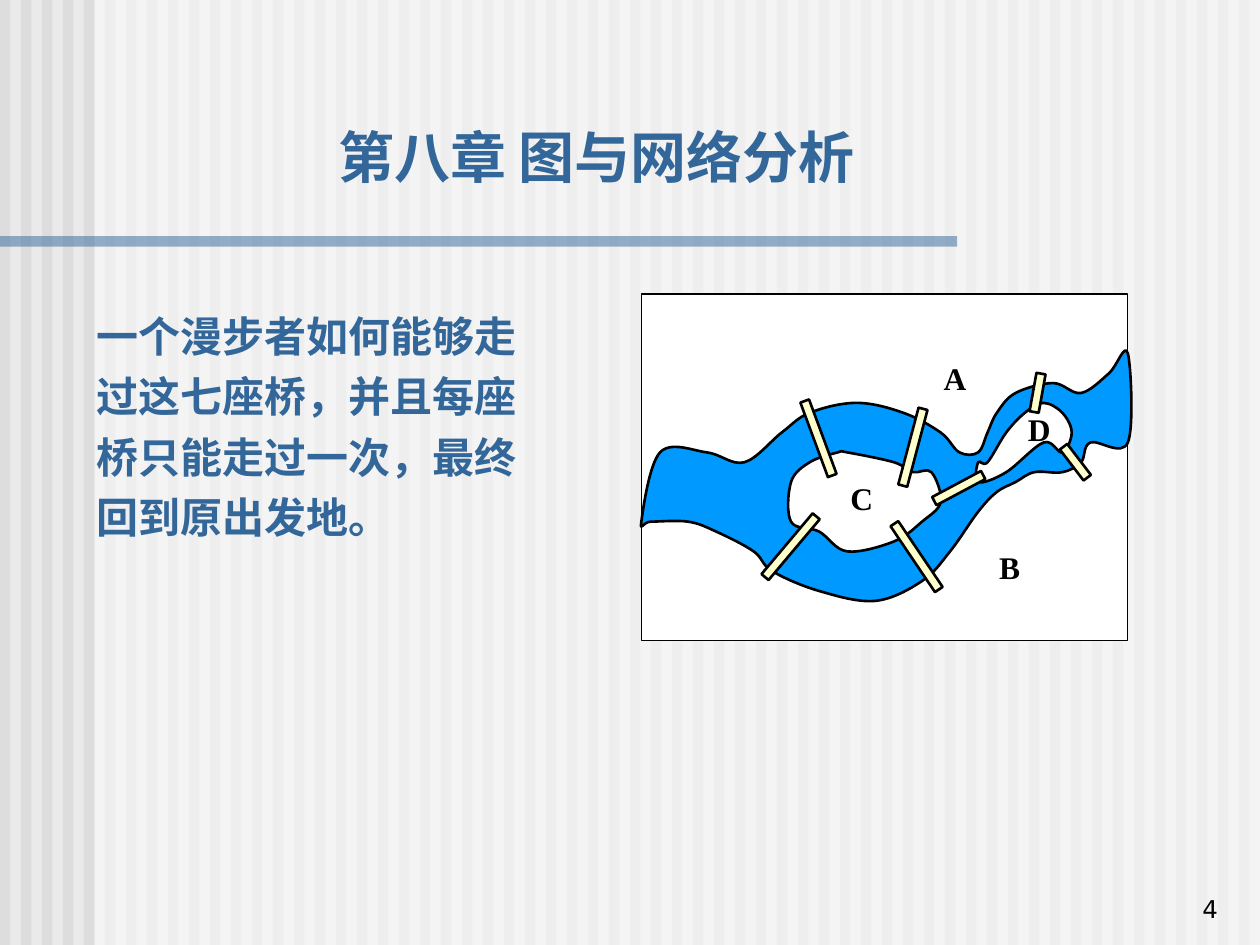
from lxml.etree import SubElement
from pptx import Presentation
from pptx.dml.color import RGBColor
from pptx.enum.shapes import MSO_SHAPE
from pptx.enum.text import MSO_ANCHOR, MSO_AUTO_SIZE, PP_ALIGN
from pptx.oxml.ns import qn
from pptx.util import Pt

COLORS = {
    "background": "EAEAEA",
    "stripe": "DDDDDD",
    "white": "FFFFFF",
    "accent": "336699",
    "black": "000000",
    "river": "0099FF",
    "bridge": "FFFFCC",
}
CHINESE_FONT = "Noto Sans CJK SC"
GRID_COLUMNS, GRID_ROWS = 52, 35
BRIDGE_THICKNESS = 5.3

RIVER = [
    (2, 16), (7, 16), (11, 17), (15, 14), (18, 12), (23, 11), (28, 12),
    (32, 14), (34, 16), (36, 16), (37, 14), (38, 12), (40, 10), (44, 9),
    (47, 10), (50, 8), (52, 6), (52, 15), (48, 15), (47, 17), (45, 18),
    (42, 18), (40, 19), (38, 20), (36, 22), (33, 26), (30, 29), (25, 31),
    (19, 30), (14, 28), (12, 26), (8, 24), (5, 23), (1, 23), (0, 23),
]
ISLAND_C = [
    (16, 19), (18, 17), (21, 16), (22, 16), (27, 17), (29, 18), (31, 18),
    (32, 21), (30, 23), (27, 25), (22, 26), (19, 24), (16, 23),
]
ISLAND_D = [
    (41, 12), (39, 14), (37, 17), (36, 17), (36, 19), (39, 18), (43, 15),
    (45, 16), (46, 14), (45, 12), (43, 11),
]
BRIDGES = [
    (181.4, 110.9, 31.7, 331.9),
    (248, 96.1, 22.3, 232.6),
    (226.4, 56.5, 22.3, 280.2),
    (155.2, 87.5, 45.4, 284.8),
    (101.2, 82.4, 45.4, 249.7),
    (157.3, 150.1, 45.4, 56),
    (85.3, 144.4, 45.4, 310.1),
]
LABELS = [
    ("B", 197.3, 141.8), ("A", 165.6, 33.8),
    ("C", 112.3, 102.2), ("D", 213.8, 62.6),
]


def color(name):
    return RGBColor.from_string(COLORS[name])


def paint(shape, fill, line_width=0, opacity=100):
    shape.shadow.inherit = False
    shape.fill.solid()
    shape.fill.fore_color.rgb = color(fill)
    if opacity < 100:
        fill_color = shape._element.spPr.find(qn("a:solidFill"))[0]
        SubElement(fill_color, qn("a:alpha"), val=str(opacity * 1000))
    if line_width:
        shape.line.color.rgb = color("black")
        shape.line.width = Pt(line_width)
    else:
        shape.line.fill.background()


def add_rectangle(shapes, left, top, width, height, fill, line_width=0, opacity=100):
    shape = shapes.add_shape(
        MSO_SHAPE.RECTANGLE, Pt(left), Pt(top), Pt(width), Pt(height))
    paint(shape, fill, line_width, opacity)
    return shape


def add_smooth_outline(shapes, knots, fill):
    builder = shapes.build_freeform(*knots[0], scale=1.0)
    builder.add_line_segments(knots[1:] + knots[:1], close=True)
    shape = builder.convert_to_shape()
    paint(shape, fill, 1.5)
    left, top = (min(values) for values in zip(*knots))
    segments = shape._element.findall(".//" + qn("a:lnTo"))
    count = len(knots)
    for index, segment in enumerate(segments):
        before, start, end, after = (
            knots[(index + offset) % count] for offset in (-1, 0, 1, 2))
        first = [s + (e - b) / 6 for b, s, e in zip(before, start, end)]
        second = [e - (a - s) / 6 for s, e, a in zip(start, end, after)]
        segment.clear()
        curve = SubElement(segment.getparent(), qn("a:cubicBezTo"))
        for x, y in (first, second, end):
            SubElement(curve, qn("a:pt"), x=str(round(x - left)), y=str(round(y - top)))
        segment.getparent().replace(segment, curve)


def format_text(paragraph, text, size, font_name, font_color, bold=True):
    paragraph.text = text
    font = paragraph.font
    font.size = Pt(size)
    font.name = font_name
    font.bold = bold
    font.color.rgb = color(font_color)
    SubElement(font._element, qn("a:ea"), typeface=font_name)


def place(shape, left, top, width, height):
    shape.left, shape.top = Pt(left), Pt(top)
    shape.width, shape.height = Pt(width), Pt(height)


def add_backdrop(slide, width, height):
    slide.background.fill.solid()
    slide.background.fill.fore_color.rgb = color("background")
    shapes = slide.shapes.add_group_shape().shapes
    for left in range(0, width, 12):
        add_rectangle(shapes, left, 0, 6, height, "stripe")
    add_rectangle(shapes, 54, 0, width - 54, height, "white", opacity=50)
    add_rectangle(shapes, 0, 135, 547, 6, "accent", opacity=50)


def add_bridge_map(slide, left, top, width, height):
    shapes = slide.shapes.add_group_shape().shapes
    add_rectangle(shapes, left, top, width, height, "white", 0.75)
    for outline, fill in ((RIVER, "river"), (ISLAND_C, "white"), (ISLAND_D, "white")):
        knots = [(Pt(left + column * width / GRID_COLUMNS),
                  Pt(top + row * height / GRID_ROWS)) for column, row in outline]
        add_smooth_outline(shapes, knots, fill)
    for center_x, center_y, length, angle in BRIDGES:
        bridge = add_rectangle(
            shapes, left + center_x - length / 2, top + center_y - BRIDGE_THICKNESS / 2,
            length, BRIDGE_THICKNESS, "bridge", 1.5)
        bridge.rotation = angle
    for letter, x, y in LABELS:
        label = shapes.add_textbox(Pt(left + x), Pt(top + y), Pt(27), Pt(29))
        label.text_frame.word_wrap = False
        format_text(label.text_frame.paragraphs[0], letter, 18, "Times New Roman", "black")


def add_title(slide, left, top, width, height):
    title = slide.shapes.title
    slide.shapes._spTree.append(title._element)
    place(title, left, top, width, height)
    frame = title.text_frame
    frame.auto_size = MSO_AUTO_SIZE.NONE
    frame.vertical_anchor = MSO_ANCHOR.BOTTOM
    paragraph = frame.paragraphs[0]
    paragraph.alignment = PP_ALIGN.LEFT
    format_text(paragraph, "第八章 图与网络分析", 32, CHINESE_FONT, "accent")


def add_question(slide, left, top, width, height):
    body = slide.placeholders[1]
    slide.shapes._spTree.append(body._element)
    place(body, left, top, width, height)
    body.text_frame.auto_size = MSO_AUTO_SIZE.NONE
    paragraph = body.text_frame.paragraphs[0]
    properties = paragraph._p.get_or_add_pPr()
    properties.set("marL", "0")
    properties.set("indent", "0")
    SubElement(properties, qn("a:buNone"))
    paragraph.space_before = Pt(0)
    paragraph.line_spacing = 1.2
    format_text(
        paragraph,
        "一个漫步者如何能够走过这七座桥，并且每座桥只能走过一次，最终回到原出发地。",
        24, CHINESE_FONT, "accent")


def add_slide_number(slide, left, top, width, height):
    box = slide.shapes.add_textbox(Pt(left), Pt(top), Pt(width), Pt(height))
    box.text_frame.word_wrap = True
    box.text_frame.vertical_anchor = MSO_ANCHOR.BOTTOM
    paragraph = box.text_frame.paragraphs[0]
    paragraph.alignment = PP_ALIGN.RIGHT
    format_text(paragraph, "4", 14, "DejaVu Sans", "black", bold=False)


def main():
    presentation = Presentation()
    presentation.slide_width, presentation.slide_height = Pt(720), Pt(540)
    slide = presentation.slides.add_slide(presentation.slide_layouts[1])
    add_backdrop(slide, 720, 540)
    add_slide_number(slide, 553, 495, 150, 36)
    add_bridge_map(slide, 366.5, 168, 278, 198)
    add_question(slide, 48, 168, 264, 145.5)
    add_title(slide, 186, 60, 347, 52)
    presentation.save("out.pptx")


if __name__ == "__main__":
    main()
